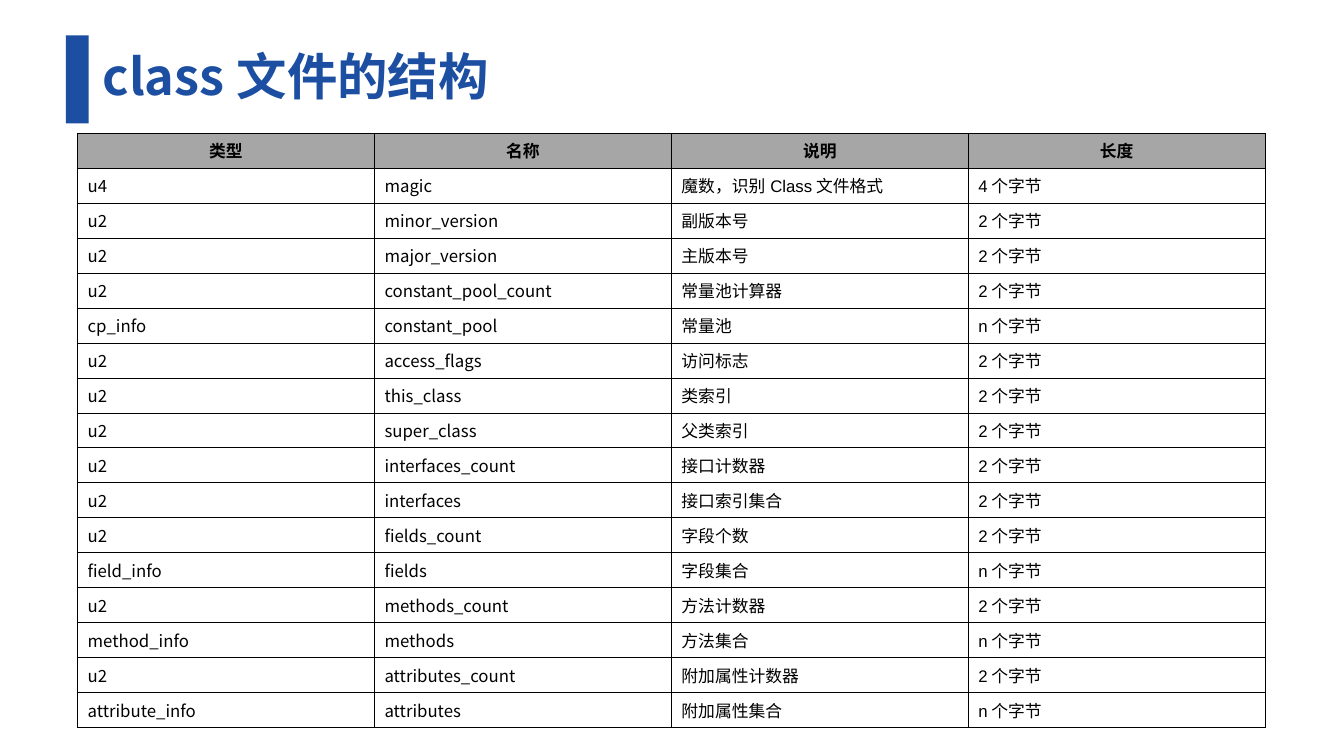
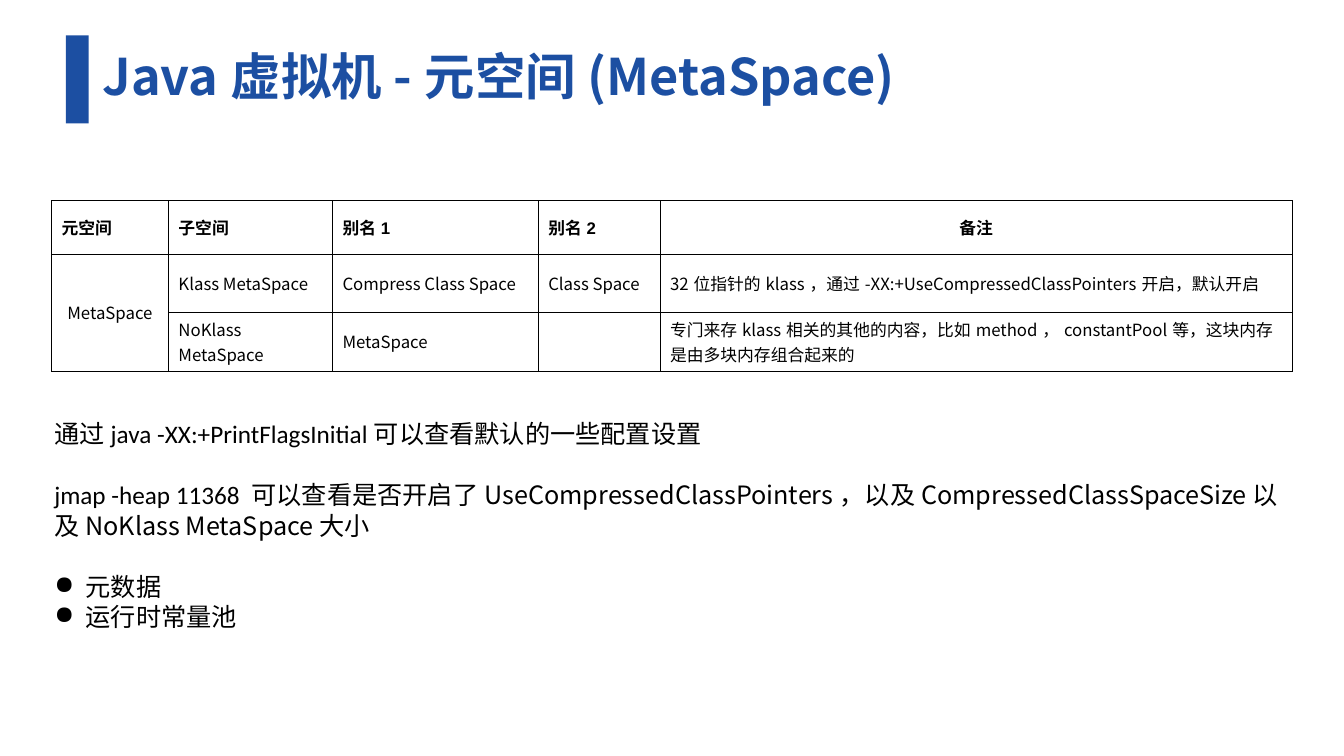
from lxml import etree
from pptx import Presentation
from pptx.dml.color import RGBColor
from pptx.enum.shapes import MSO_SHAPE
from pptx.enum.text import MSO_ANCHOR, PP_ALIGN
from pptx.oxml.ns import qn
from pptx.util import Pt

BLUE = RGBColor(0x1C, 0x4F, 0xA2)
BLACK = RGBColor(0, 0, 0)
GREY = RGBColor(0xA6, 0xA6, 0xA6)
CJK_FONT = "Noto Sans CJK SC"
ARIAL = "Arial"
CALIBRI = "Calibri"
MIDDLE = MSO_ANCHOR.MIDDLE
CENTER = PP_ALIGN.CENTER
RECTANGLE = MSO_SHAPE.RECTANGLE

TITLES = ["class文件的结构", "Java虚拟机-元空间(MetaSpace)"]

CLASS_FILE_ROWS = [
    ("类型", "名称", "说明", "长度"),
    ("u4", "magic", "魔数，识别Class文件格式", "4个字节"),
    ("u2", "minor_version", "副版本号", "2个字节"),
    ("u2", "major_version", "主版本号", "2个字节"),
    ("u2", "constant_pool_count", "常量池计算器", "2个字节"),
    ("cp_info", "constant_pool", "常量池", "n个字节"),
    ("u2", "access_flags", "访问标志", "2个字节"),
    ("u2", "this_class", "类索引", "2个字节"),
    ("u2", "super_class", "父类索引", "2个字节"),
    ("u2", "interfaces_count", "接口计数器", "2个字节"),
    ("u2", "interfaces", "接口索引集合", "2个字节"),
    ("u2", "fields_count", "字段个数", "2个字节"),
    ("field_info", "fields", "字段集合", "n个字节"),
    ("u2", "methods_count", "方法计数器", "2个字节"),
    ("method_info", "methods", "方法集合", "n个字节"),
    ("u2", "attributes_count", "附加属性计数器", "2个字节"),
    ("attribute_info", "attributes", "附加属性集合", "n个字节"),
]

METASPACE_ROWS = [
    ("元空间", "子空间", "别名1", "别名2", "备注"),
    ("MetaSpace", "Klass MetaSpace", "Compress Class Space", "Class Space",
     "32位指针的klass，通过-XX:+UseCompressedClassPointers开启，默认开启"),
    ("", "NoKlass MetaSpace", "MetaSpace", "",
     "专门来存klass相关的其他的内容，比如method，constantPool等，"
     "这块内存是由多块内存组合起来的"),
]

# Each paragraph: space before, bulleted, runs as (text, font)
NOTES = [
    (0, False, [("通过java -XX:+PrintFlagsInitial可以查看默认的一些配置设置", CALIBRI)]),
    (21.8, False, [
        ("jmap -heap 11368 可以查看是否开启了", CALIBRI),
        ("UseCompressedClassPointers，以及CompressedClassSpaceSize"
         "以及NoKlass MetaSpace大小", CJK_FONT)]),
    (21.8, True, [("元数据", CJK_FONT)]),
    (0, True, [("运行时常量池", CJK_FONT)]),
]


def style_run(run, size, font_name, color=BLACK, bold=False):
    """Format a run, with the CJK font for its East Asian characters."""
    run.font.size = Pt(size)
    run.font.bold = bold
    run.font.color.rgb = color
    run.font.name = font_name
    properties = run.font._element
    properties.set("lang", "zh-CN")
    east_asian = etree.SubElement(properties, qn("a:ea"))
    east_asian.set("typeface", CJK_FONT)


def add_grid(slide, left, top, widths, heights, rows, body_fonts, header_fill=None):
    """Add a table with thin black borders and a bold first row."""
    table = slide.shapes.add_table(
        len(rows), len(widths), Pt(left), Pt(top),
        Pt(sum(widths)), Pt(sum(heights))).table
    table.first_row = False
    table.horz_banding = False
    for column, width in zip(table.columns, widths):
        column.width = Pt(width)
    for row, height in zip(table.rows, heights):
        row.height = Pt(height)
    for row_index, texts in enumerate(rows):
        is_header = row_index == 0
        for column_index, text in enumerate(texts):
            cell = table.cell(row_index, column_index)
            cell.vertical_anchor = MIDDLE
            if text:
                cell.text = text
                font_name = ARIAL if is_header else body_fonts[column_index]
                style_run(cell.text_frame.paragraphs[0].runs[0], 12, font_name,
                          bold=is_header)
            if is_header and header_fill is not None:
                cell.fill.solid()
                cell.fill.fore_color.rgb = header_fill
            else:
                cell.fill.background()
            cell_properties = cell._tc.get_or_add_tcPr()
            for position, side in enumerate(("lnL", "lnR", "lnT", "lnB")):
                border = etree.Element(qn(f"a:{side}"), w=str(Pt(0.5)))
                fill = etree.SubElement(border, qn("a:solidFill"))
                etree.SubElement(fill, qn("a:srgbClr"), val=str(BLACK))
                cell_properties.insert(position, border)
    return table


presentation = Presentation()
presentation.slide_width = Pt(960)
presentation.slide_height = Pt(540)

# Title band on every slide
slides = []
for title in TITLES:
    slide = presentation.slides.add_slide(presentation.slide_layouts[6])
    slides.append(slide)
    bar = slide.shapes.add_shape(RECTANGLE, Pt(47), Pt(25.3), Pt(16.4), Pt(62.8))
    bar.shadow.inherit = False
    bar.fill.solid()
    bar.fill.fore_color.rgb = BLUE
    bar.line.fill.background()
    title_box = slide.shapes.add_textbox(Pt(66.2), Pt(18), Pt(828), Pt(77))
    title_frame = title_box.text_frame
    title_frame.word_wrap = True
    title_frame.vertical_anchor = MIDDLE
    title_frame.text = title
    title_paragraph = title_frame.paragraphs[0]
    title_paragraph.line_spacing = 0.9
    style_run(title_paragraph.runs[0], 36, CJK_FONT, BLUE, bold=True)

class_file_slide, metaspace_slide = slides

# Class file structure
class_file_table = add_grid(
    class_file_slide, 55.4, 95.1, [212.1] * 4, [25] * len(CLASS_FILE_ROWS),
    CLASS_FILE_ROWS, [CJK_FONT, CJK_FONT, ARIAL, ARIAL], GREY)
for cell in class_file_table.rows[0].cells:
    cell.text_frame.paragraphs[0].alignment = CENTER

# Metaspace
metaspace_table = add_grid(
    metaspace_slide, 36.8, 143.2, [83.5, 117.2, 147, 87, 451.6], [38.4, 41.6, 41.8],
    METASPACE_ROWS, [CJK_FONT] * 5)
metaspace_table.cell(1, 0).merge(metaspace_table.cell(2, 0))
for row_index, column_index in ((0, 4), (1, 0)):
    cell = metaspace_table.cell(row_index, column_index)
    cell.text_frame.paragraphs[0].alignment = CENTER

notes_box = metaspace_slide.shapes.add_textbox(Pt(31.7), Pt(295.2), Pt(890), Pt(160))
notes_frame = notes_box.text_frame
notes_frame.word_wrap = True
for index, (space_before, bulleted, runs) in enumerate(NOTES):
    paragraph = notes_frame.paragraphs[0] if index == 0 else notes_frame.add_paragraph()
    paragraph.line_spacing = Pt(21.8)
    if space_before:
        paragraph.space_before = Pt(space_before)
    if bulleted:
        paragraph_properties = paragraph._p.get_or_add_pPr()
        paragraph_properties.set("marL", str(Pt(22.5)))
        paragraph_properties.set("indent", str(-Pt(22.5)))
        etree.SubElement(paragraph_properties, qn("a:buChar"), char="●")
    for text, font_name in runs:
        run = paragraph.add_run()
        run.text = text
        style_run(run, 18, font_name)

presentation.save("out.pptx")
